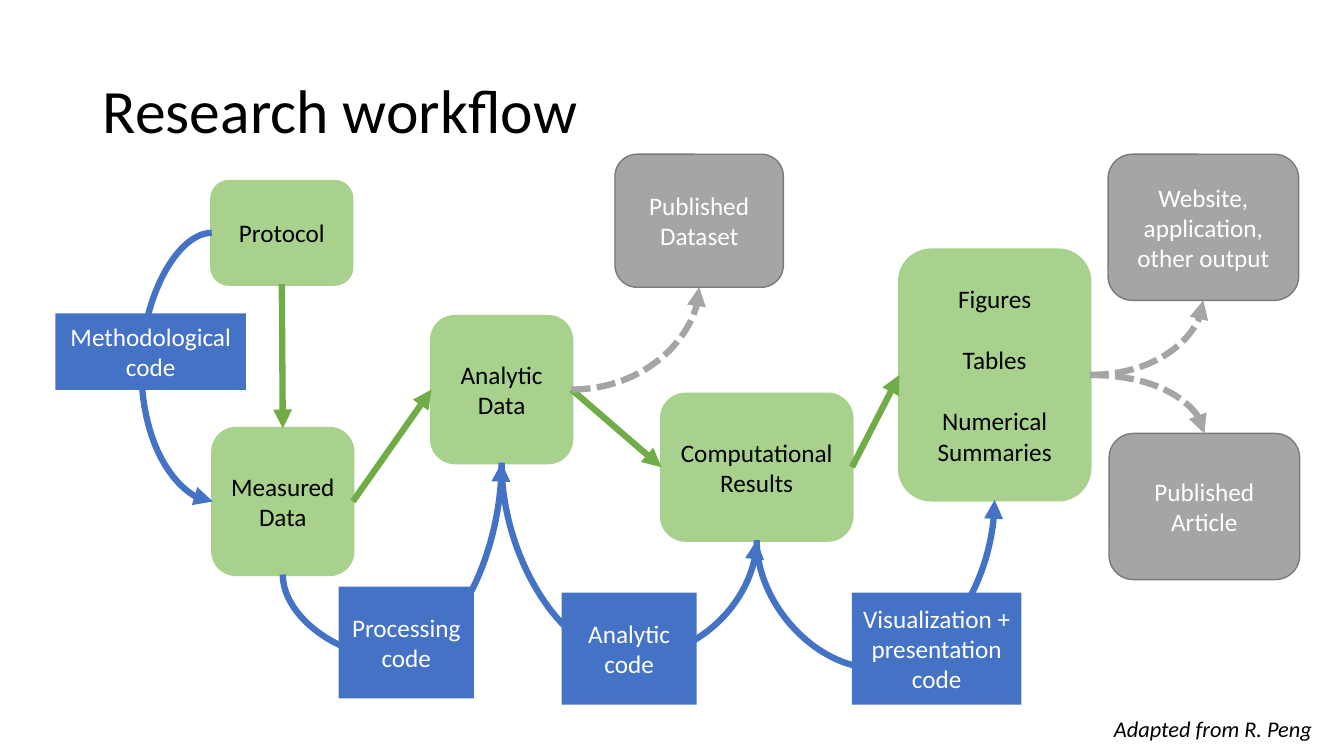
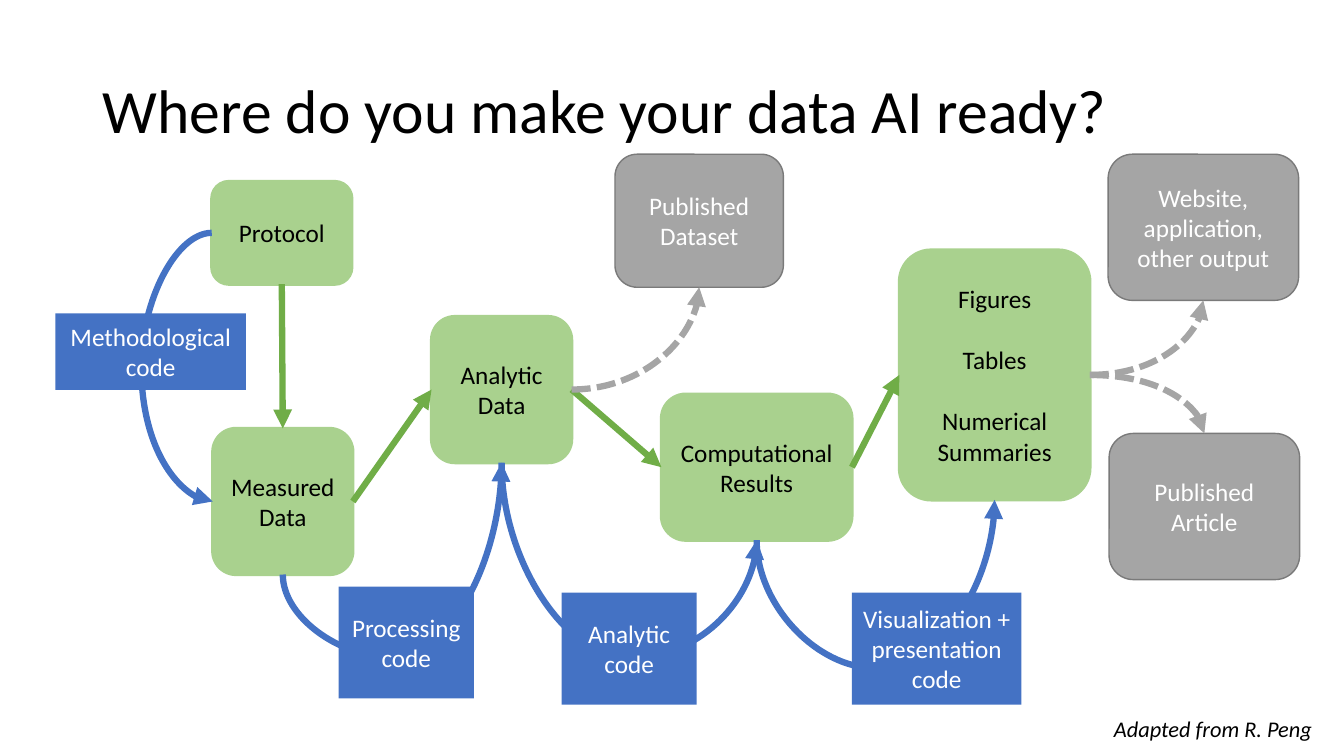
from dataclasses import dataclass

from lxml import etree
from pptx import Presentation
from pptx.dml.color import RGBColor
from pptx.enum.dml import MSO_LINE
from pptx.enum.shapes import MSO_CONNECTOR, MSO_SHAPE
from pptx.enum.text import MSO_ANCHOR, MSO_AUTO_SIZE, PP_ALIGN
from pptx.oxml.ns import qn
from pptx.util import Inches, Pt

RECT, ROUNDED = MSO_SHAPE.RECTANGLE, MSO_SHAPE.ROUNDED_RECTANGLE
STRAIGHT, CURVE = MSO_CONNECTOR.STRAIGHT, MSO_CONNECTOR.CURVE
DASH = MSO_LINE.SQUARE_DOT
LEFT, CENTER, MIDDLE = PP_ALIGN.LEFT, PP_ALIGN.CENTER, MSO_ANCHOR.MIDDLE
TOP_SIDE, LEFT_SIDE, BOTTOM_SIDE, RIGHT_SIDE = range(4)
TITLE_ONLY = 5


@dataclass(frozen=True)
class Theme:
    font: str = "Calibri"
    black: RGBColor = RGBColor(0x00, 0x00, 0x00)
    white: RGBColor = RGBColor(0xFF, 0xFF, 0xFF)
    data: RGBColor = RGBColor(0xA9, 0xD1, 0x8E)
    flow: RGBColor = RGBColor(0x70, 0xAD, 0x47)
    code: RGBColor = RGBColor(0x44, 0x72, 0xC4)
    output: RGBColor = RGBColor(0xA5, 0xA5, 0xA5)
    output_edge: RGBColor = RGBColor(0x7A, 0x7A, 0x7A)
    title_size: float = 44
    box_size: float = 18
    credit_size: float = 16
    arrow_width: float = 4.5
    paragraph_gap: float = 22


class WorkflowDeck:
    def __init__(self, theme):
        self.theme = theme
        self.deck = Presentation()
        self.deck.slide_width, self.deck.slide_height = Inches(13.33), Inches(7.5)
        self.slide = None

    def style(self, frame, size, color, align, italic=False):
        for paragraph in frame.paragraphs:
            paragraph.alignment = align
            for run in paragraph.runs:
                run.font.name, run.font.size = self.theme.font, Pt(size)
                run.font.color.rgb, run.font.italic = color, italic

    def start_slide(self, heading):
        self.slide = self.deck.slides.add_slide(self.deck.slide_layouts[TITLE_ONLY])
        title = self.slide.shapes.title
        title.left, title.top = Inches(0.92), Inches(0.4)
        title.width, title.height = Inches(11.5), Inches(1.45)
        frame = title.text_frame
        frame.text, frame.vertical_anchor = heading, MIDDLE
        frame.paragraphs[0].line_spacing = 0.9
        self.style(frame, self.theme.title_size, self.theme.black, LEFT)

    def credit(self, text):
        box = self.slide.shapes.add_textbox(
            Inches(10.95), Inches(7.05), Inches(2.2), Inches(0.37))
        frame = box.text_frame
        frame.text, frame.word_wrap = text, False
        frame.auto_size = MSO_AUTO_SIZE.SHAPE_TO_FIT_TEXT
        self.style(frame, self.theme.credit_size, self.theme.black, LEFT, italic=True)

    def box(self, preset, text, bounds, fill, color, edge=None, edge_width=0):
        shape = self.slide.shapes.add_shape(preset, *map(Inches, bounds))
        shape.shadow.inherit = False
        shape.fill.solid()
        shape.fill.fore_color.rgb = fill
        if edge is None:
            shape.line.fill.background()
        else:
            shape.line.color.rgb, shape.line.width = edge, Pt(edge_width)
        frame = shape.text_frame
        frame.text, frame.word_wrap, frame.vertical_anchor = text, True, MIDDLE
        for paragraph in frame.paragraphs[1:]:
            paragraph.space_before = Pt(self.theme.paragraph_gap)
        self.style(frame, self.theme.box_size, color, CENTER)
        return shape

    def data_box(self, text, *bounds):
        theme = self.theme
        return self.box(ROUNDED, text, bounds, theme.data, theme.black, theme.data, 2.25)

    def code_box(self, text, *bounds):
        return self.box(RECT, text, bounds, self.theme.code, self.theme.white)

    def output_box(self, text, *bounds):
        theme = self.theme
        return self.box(ROUNDED, text, bounds, theme.output, theme.white,
                        theme.output_edge, 1)

    def arrow(self, kind, source, source_side, target, target_side, color, dash=None):
        link = self.slide.shapes.add_connector(kind, 0, 0, 0, 0)
        link.begin_connect(source, source_side)
        link.end_connect(target, target_side)
        link.line.color.rgb, link.line.width = color, Pt(self.theme.arrow_width)
        if dash is not None:
            link.line.dash_style = dash
        properties = link._element.spPr
        etree.SubElement(properties.find(qn("a:ln")), qn("a:tailEnd"), type="triangle")
        etree.SubElement(properties, qn("a:effectLst"))
        return link

    def flow_arrow(self, source, source_side, target, target_side):
        self.arrow(STRAIGHT, source, source_side, target, target_side, self.theme.flow)

    def output_arrow(self, source, target, target_side):
        """Quarter bend that leaves sideways and arrives vertically."""
        link = self.arrow(CURVE, source, RIGHT_SIDE, target, target_side,
                          self.theme.output, DASH)
        link._element.spPr.find(qn("a:prstGeom")).set("prst", "curvedConnector2")

    def code_arrow(self, source, target, side, reach):
        """U-shaped bend between equal sides, out to the coordinate reach."""
        link = self.arrow(CURVE, source, side, target, side, self.theme.code)
        start, end = (link.begin_x, link.begin_y), (link.end_x, link.end_y)
        axis = 1 if side == BOTTOM_SIDE else 0
        bend = (Inches(reach) - start[axis]) / (end[axis] - start[axis])
        properties = link._element.spPr
        guides = properties.find(qn("a:prstGeom")).find(qn("a:avLst"))
        etree.SubElement(guides, qn("a:gd"), name="adj1", fmla=f"val {round(bend * 100000)}")
        if axis:
            # A vertical bend is the sideways one turned about its centre
            across, along = abs(end[0] - start[0]), abs(end[1] - start[1])
            link.left = (start[0] + end[0] - along) // 2
            link.top = (start[1] + end[1] - across) // 2
            link.width, link.height = along, across
            rising = end[1] < start[1]
            frame = properties.find(qn("a:xfrm"))
            frame.set("rot", str((90 if rising else 270) * 60000))
            frame.set("flipH", "1")
            frame.set("flipV", "1" if rising else "0")

    def workflow(self):
        # Data stages
        measured = self.data_box("Measured Data", 2.11, 4.25, 1.39, 1.45)
        analytic = self.data_box("Analytic Data", 4.28, 3.14, 1.39, 1.45)
        results = self.data_box("Computational Results", 6.56, 3.91, 1.89, 1.45)
        figures = self.data_box("Figures\nTables\nNumerical Summaries",
                                8.92, 2.48, 1.89, 2.48)
        protocol = self.data_box("Protocol", 2.1, 1.8, 1.39, 1.02)
        self.flow_arrow(protocol, BOTTOM_SIDE, measured, TOP_SIDE)
        stages = [measured, analytic, results, figures]
        for source, target in zip(stages, stages[1:]):
            self.flow_arrow(source, RIGHT_SIDE, target, LEFT_SIDE)

        # Code that turns one stage into the next
        for source, target, reach in zip(stages, stages[1:], (6.52, 6.53, 6.63)):
            self.code_arrow(source, target, BOTTOM_SIDE, reach)
        self.code_arrow(protocol, measured, LEFT_SIDE, 1.39)
        self.code_box("Processing code", 3.36, 5.82, 1.34, 1.11)
        self.code_box("Analytic code", 5.57, 5.88, 1.34, 1.11)
        self.code_box("Visualization + presentation code", 8.45, 5.88, 1.68, 1.11)
        self.code_box("Methodological code", 0.55, 3.11, 1.89, 0.76)

        # Published outputs
        article = self.output_box("Published Article", 11, 4.3, 1.89, 1.45)
        dataset = self.output_box("Published Dataset", 6.1, 1.53, 1.67, 1.32)
        website = self.output_box("Website, application, other output",
                                  10.99, 1.53, 1.89, 1.45)
        self.output_arrow(figures, website, BOTTOM_SIDE)
        self.output_arrow(analytic, dataset, BOTTOM_SIDE)
        self.output_arrow(figures, article, TOP_SIDE)


def main():
    workflow_deck = WorkflowDeck(Theme())
    for heading in ("Research workflow", "Where do you make your data AI ready?"):
        workflow_deck.start_slide(heading)
        workflow_deck.workflow()
        workflow_deck.credit("Adapted from R. Peng")
    workflow_deck.deck.save("out.pptx")


if __name__ == "__main__":
    main()
